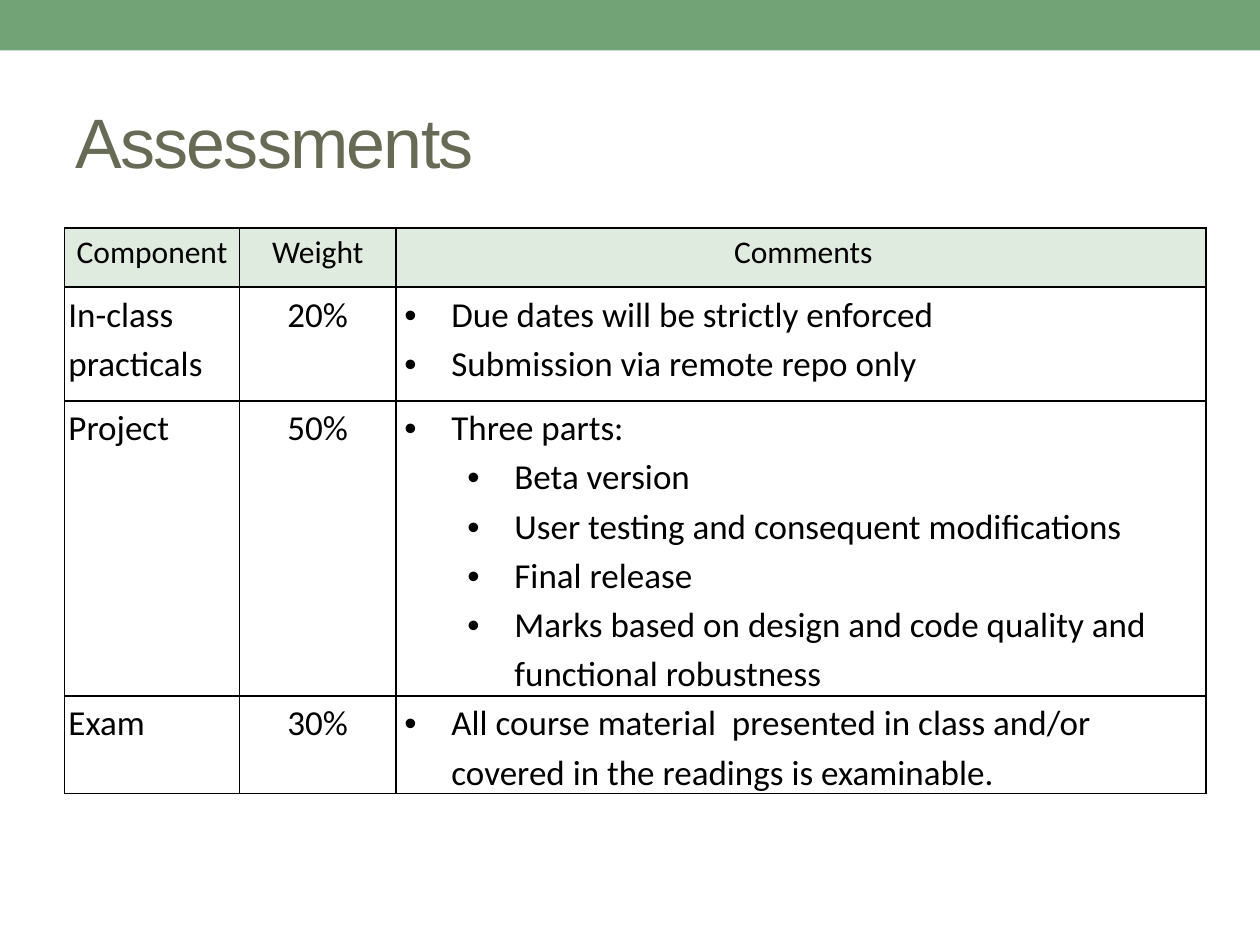
"""Build the course assessments slide with its weighting table."""
import pptx
import pptx.dml.color
import pptx.enum.shapes
import pptx.enum.text
import pptx.oxml
import pptx.oxml.ns
import pptx.util

Cm = pptx.util.Cm
Pt = pptx.util.Pt
RGB = pptx.dml.color.RGBColor.from_string
ALIGN = pptx.enum.text.PP_ALIGN

THEME = {
    "band": RGB("72A376"), "title": RGB("676A55"), "header": RGB("DFEBDF"),
    "text": RGB("000000"), "border": "000000",
    "title_size": Pt(40), "header_size": Pt(18), "body_size": Pt(20),
    "title_font": "Arial", "table_font": "Calibri",
}


def write(para, text, font=THEME["table_font"], size=THEME["body_size"], color=THEME["text"],
          align=ALIGN.LEFT, line_spacing=None, tracking=None, left=0, bullet=False):
    """Fill a paragraph with one formatted span."""
    para.alignment = align
    para.line_spacing = line_spacing
    span = para.add_run()
    span.text = text
    span.font.name, span.font.size, span.font.bold = font, size, False
    span.font.color.rgb = color
    if tracking is not None:
        span.font._element.set("spc", str(tracking))
    properties = para._p.get_or_add_pPr()
    properties.set("marL", str(Cm(left)))
    properties.set("indent", str(Cm(-0.95) if bullet else 0))
    if bullet:
        for tag, name, value in (("buFont", "typeface", "Arial"), ("buChar", "char", "•")):
            pptx.oxml.ns.qn("a:" + tag)
            mark = properties.makeelement(pptx.oxml.ns.qn("a:" + tag), {name: value})
            properties.append(mark)


def outline(cell):
    """Draw a thin line on each side of a table cell."""
    properties = cell._tc.get_or_add_tcPr()
    for index, side in enumerate("LRTB"):
        properties.insert(index, pptx.oxml.parse_xml(
            f'<a:ln{side} {pptx.oxml.ns.nsdecls("a")} w="{Pt(1)}"><a:solidFill>'
            f'<a:srgbClr val="{THEME["border"]}"/></a:solidFill></a:ln{side}>'))


deck = pptx.Presentation()
deck.slide_width, deck.slide_height = Cm(25.4), Cm(19.05)
page = deck.slides.add_slide(deck.slide_layouts[6])

band = page.shapes.add_shape(
    pptx.enum.shapes.MSO_SHAPE.RECTANGLE, 0, 0, deck.slide_width, Cm(1.02))
band.shadow.inherit = False
band.fill.solid()
band.fill.fore_color.rgb = THEME["band"]
band.line.fill.background()

title = page.shapes.add_textbox(Cm(1.27), Cm(1.47), Cm(22.86), Cm(2.74)).text_frame
title.word_wrap = True
title.vertical_anchor = pptx.enum.text.MSO_ANCHOR.MIDDLE
write(title.paragraphs[0], "Assessments", font=THEME["title_font"], size=THEME["title_size"],
      color=THEME["title"], tracking=-100)

TOP, SUB = 1.04, 2.31
headings = ["Component", "Weight", "Comments"]
assessments = [
    ("In-class practicals", "20%", [
        (TOP, "Due dates will be strictly enforced"),
        (TOP, "Submission via remote repo only")]),
    ("Project", "50%", [
        (TOP, "Three parts:"),
        (SUB, "Beta version"),
        (SUB, "User testing and consequent modifications"),
        (SUB, "Final release"),
        (SUB, "Marks based on design and code quality and functional robustness")]),
    ("Exam", "30%", [
        (TOP, "All course material  presented in class and/or covered in the readings "
              "is examinable.")]),
]
widths = [3.53, 3.15, 16.33]
heights = [1.19, 2.29, 5.95, 1.97]

table = page.shapes.add_table(
    len(heights), len(widths), Cm(1.3), Cm(4.6), Cm(sum(widths)), Cm(sum(heights))).table
table.first_row = table.horz_banding = False
for column, width in zip(table.columns, widths):
    column.width = Cm(width)
for row, height in zip(table.rows, heights):
    row.height = Cm(height)

for cell in table.iter_cells():
    cell.margin_left = cell.margin_right = Cm(0.08)
    cell.margin_top = cell.margin_bottom = 0
    cell.fill.background()
    outline(cell)

for column, heading in enumerate(headings):
    cell = table.cell(0, column)
    cell.fill.solid()
    cell.fill.fore_color.rgb = THEME["header"]
    write(cell.text_frame.paragraphs[0], heading, size=THEME["header_size"],
          align=ALIGN.CENTER, line_spacing=1.15, left=0.1 if heading == "Comments" else 0)

for row, (component, weight, comments) in enumerate(assessments, start=1):
    frames = [table.cell(row, column).text_frame for column in range(len(widths))]
    write(frames[0].paragraphs[0], component, line_spacing=1.15)
    write(frames[1].paragraphs[0], weight, align=ALIGN.CENTER, line_spacing=1.15)
    for index, (left, comment) in enumerate(comments):
        para = frames[2].add_paragraph() if index else frames[2].paragraphs[0]
        para.level = 1 if left == SUB else 0
        write(para, comment, line_spacing=1.15, left=left, bullet=True)

deck.save("out.pptx")
